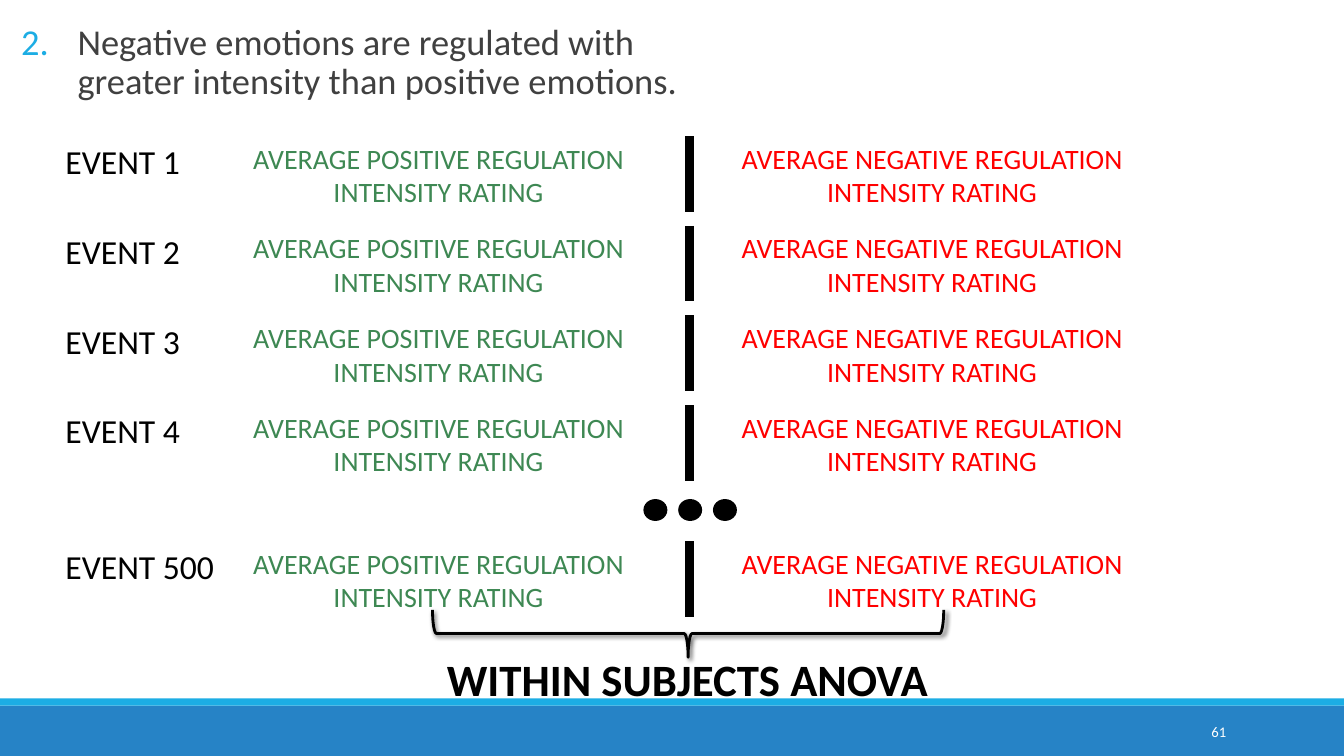
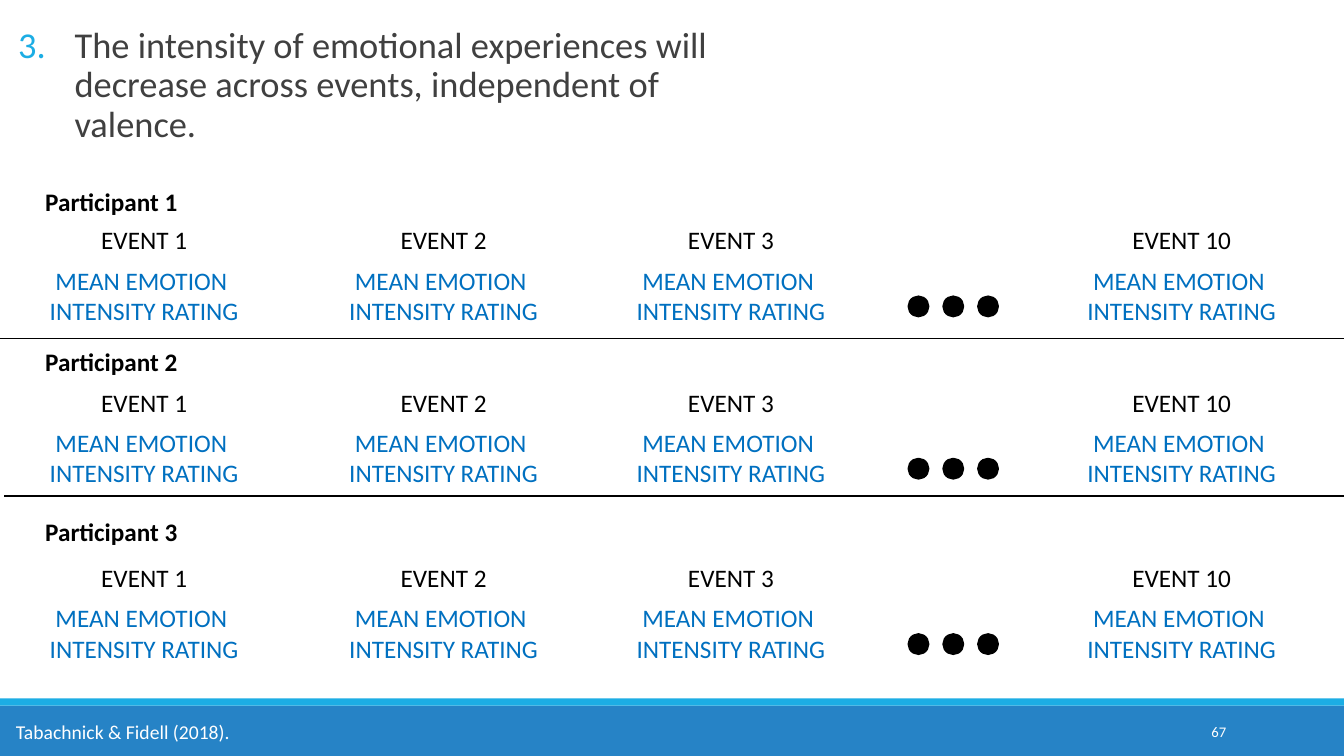
from lxml import etree
from pptx import Presentation
from pptx.dml.color import RGBColor
from pptx.enum.shapes import MSO_CONNECTOR, MSO_SHAPE
from pptx.enum.text import MSO_ANCHOR, MSO_AUTO_SIZE, PP_ALIGN
from pptx.oxml import parse_xml
from pptx.oxml.ns import nsdecls, qn
from pptx.util import Inches, Pt

# Content
HYPOTHESIS_2 = "Negative emotions are regulated with greater intensity than positive emotions."
HYPOTHESIS_3 = ("The intensity of emotional experiences will decrease across events, "
                "independent of valence.")
POSITIVE = "AVERAGE POSITIVE REGULATION INTENSITY RATING"
NEGATIVE = "AVERAGE NEGATIVE REGULATION INTENSITY RATING"
MEAN_RATING = "MEAN EMOTION \nINTENSITY RATING"
ANALYSIS = "WITHIN SUBJECTS ANOVA"
CITATION = "Tabachnick & Fidell (2018)."

# Rows of the first slide: four evenly spaced events, then the last one
ROW_TOP, ROW_PITCH = 1.35, 0.89
EVENT_ROWS = [(f"EVENT {i + 1}", ROW_TOP + i * ROW_PITCH) for i in range(4)]
EVENT_ROWS.append(("EVENT 500", 5.37))

# Second slide: event name and column centre; participant, its top, events' top
EVENT_COLUMNS = [("EVENT 1", 1.43), ("EVENT 2", 4.4), ("EVENT 3", 7.25), ("EVENT 10", 11.72)]
PARTICIPANTS = [("Participant 1", 1.8, 2.18), ("Participant 2", 3.39, 3.79),
                ("Participant 3", 5.07, 5.53)]
SEPARATORS = [(0, 3.36), (0.04, 4.92)]

# Shared style
FONT = "Calibri"
BLACK = RGBColor(0x00, 0x00, 0x00)
WHITE = RGBColor(0xFF, 0xFF, 0xFF)
GRAY = RGBColor(0x40, 0x40, 0x40)
BAND_BLUE = RGBColor(0x26, 0x83, 0xC6)
ACCENT = RGBColor(0x1C, 0xAD, 0xE4)
GREEN = RGBColor(0x3E, 0x88, 0x53)
RED = RGBColor(0xFF, 0x00, 0x00)
BLUE = RGBColor(0x00, 0x70, 0xC0)
SLIDE_W, SLIDE_H = 13.33, 7.5


def add_text(s, text, left, top, width, height, size, color=BLACK,
             align=PP_ALIGN.LEFT, bold=False, anchor=MSO_ANCHOR.TOP):
    tf = s.shapes.add_textbox(Inches(left), Inches(top), Inches(width), Inches(height)).text_frame
    tf.word_wrap = True
    tf.vertical_anchor = anchor
    tf.text = text
    for p in tf.paragraphs:
        p.alignment = align
        for r in p.runs:
            r.font.name, r.font.size, r.font.bold = FONT, Pt(size), bold
            r.font.color.rgb = color


def add_filled(s, preset, left, top, width, height, color, line_width=None):
    sp = s.shapes.add_shape(preset, Inches(left), Inches(top), Inches(width), Inches(height))
    sp.shadow.inherit = False
    sp.fill.solid()
    sp.fill.fore_color.rgb = color
    if line_width is None:
        sp.line.fill.background()
    else:
        sp.line.color.rgb = color
        sp.line.width = Pt(line_width)


def add_line(s, x1, y1, x2, y2, width):
    line = s.shapes.add_connector(MSO_CONNECTOR.STRAIGHT, Inches(x1), Inches(y1),
                                  Inches(x2), Inches(y2))
    line.line.color.rgb = BLACK
    line.line.width = Pt(width)
    etree.SubElement(line._element.spPr, qn("a:effectLst"))


def add_dots(s, left, top, width, height=0.2):
    for i in range(3):
        add_filled(s, MSO_SHAPE.OVAL, left + i * 0.345, top, width, height, BLACK, 1.25)


def add_brace(s, left, top, width, height):
    sp = s.shapes.add_shape(MSO_SHAPE.LEFT_BRACE, Inches(left), Inches(top),
                            Inches(width), Inches(height))
    sp.rotation = 270
    sp.fill.background()
    sp.line.color.rgb = BLACK
    sp.line.width = Pt(2)
    sp._element.spPr.append(parse_xml(
        f'<a:effectLst {nsdecls("a")}><a:outerShdw blurRad="{Pt(3)}" dist="{Pt(2)}" '
        f'dir="2700000" rotWithShape="0"><a:srgbClr val="{BLACK}"><a:alpha val="60000"/>'
        '</a:srgbClr></a:outerShdw></a:effectLst>'))


def add_hypothesis(s, number, text, left, top):
    body = s.placeholders[1]
    body.left, body.top, body.width, body.height = map(Inches, (left, top, 7.38, 4.52))
    tf = body.text_frame
    tf.auto_size = MSO_AUTO_SIZE.NONE
    tf.vertical_anchor = MSO_ANCHOR.TOP
    tf.text = text
    p = tf.paragraphs[0]
    p.line_spacing, p.space_before, p.space_after = 0.9, Pt(0), Pt(2)
    pPr = p._p.get_or_add_pPr()
    pPr.set("marL", str(Inches(0.56)))
    pPr.set("indent", str(Inches(-0.56)))
    pPr.append(parse_xml(f'<a:buClr {nsdecls("a")}><a:srgbClr val="{ACCENT}"/></a:buClr>'))
    pPr.append(parse_xml(f'<a:buFont {nsdecls("a")} typeface="{FONT}"/>'))
    pPr.append(parse_xml(f'<a:buAutoNum {nsdecls("a")} type="arabicPeriod" startAt="{number}"/>'))
    r = p.runs[0]
    r.font.name, r.font.size = FONT, Pt(26)
    r.font.color.rgb = GRAY


def new_slide(prs, page, number, hypothesis, left, top):
    s = prs.slides.add_slide(prs.slide_layouts[1])
    title = s.shapes.title._element
    title.getparent().remove(title)
    add_filled(s, MSO_SHAPE.RECTANGLE, 0, 7, SLIDE_W, 0.5, BAND_BLUE)
    add_filled(s, MSO_SHAPE.RECTANGLE, 0, 6.93, SLIDE_W, 0.07, ACCENT)
    add_text(s, page, 10.83, 7.06, 1.43, 0.4, 10.5, WHITE, PP_ALIGN.RIGHT,
             anchor=MSO_ANCHOR.MIDDLE)
    add_hypothesis(s, number, hypothesis, left, top)
    return s


def build_regulation(prs):
    s = new_slide(prs, "61", 2, HYPOTHESIS_2, 0.11, 0.19)
    for event, top in EVENT_ROWS:
        add_text(s, event, 0.55, top, 1.85, 0.5, 24)
        add_text(s, POSITIVE, 2.41, top, 3.88, 0.77, 20, GREEN, PP_ALIGN.CENTER)
        add_text(s, NEGATIVE, 7.13, top, 4.23, 0.77, 20, RED, PP_ALIGN.CENTER)
        add_line(s, 6.84, top, 6.84, top + 0.75, 6)
    add_dots(s, 6.39, 4.96, 0.22)
    add_text(s, ANALYSIS, 4.22, 6.42, 5.2, 0.64, 32, align=PP_ALIGN.CENTER, bold=True)
    add_brace(s, 6.59, 3.75, 0.47, 5.07)


def build_intensity(prs):
    s = new_slide(prs, "67", 3, HYPOTHESIS_3, 0.08, 0.22)
    for participant, label_top, top in PARTICIPANTS:
        add_text(s, participant, 0.35, label_top, 1.8, 0.4, 18, bold=True)
        for event, center in EVENT_COLUMNS:
            add_text(s, event, center - 0.7, top, 1.4, 0.4, 18, align=PP_ALIGN.CENTER)
            add_text(s, MEAN_RATING, center - 1.43, top + 0.4, 2.86, 0.71, 18, BLUE,
                     PP_ALIGN.CENTER)
        add_dots(s, 9.01, top + 0.76, 0.2)
    for left, y in SEPARATORS:
        add_line(s, left, y, SLIDE_W, y, 1)
    add_text(s, CITATION, 0.06, 7.09, 3, 0.34, 14, WHITE)


def main():
    prs = Presentation()
    prs.slide_width, prs.slide_height = Inches(SLIDE_W), Inches(SLIDE_H)
    build_regulation(prs)
    build_intensity(prs)
    prs.save("out.pptx")


if __name__ == "__main__":
    main()
